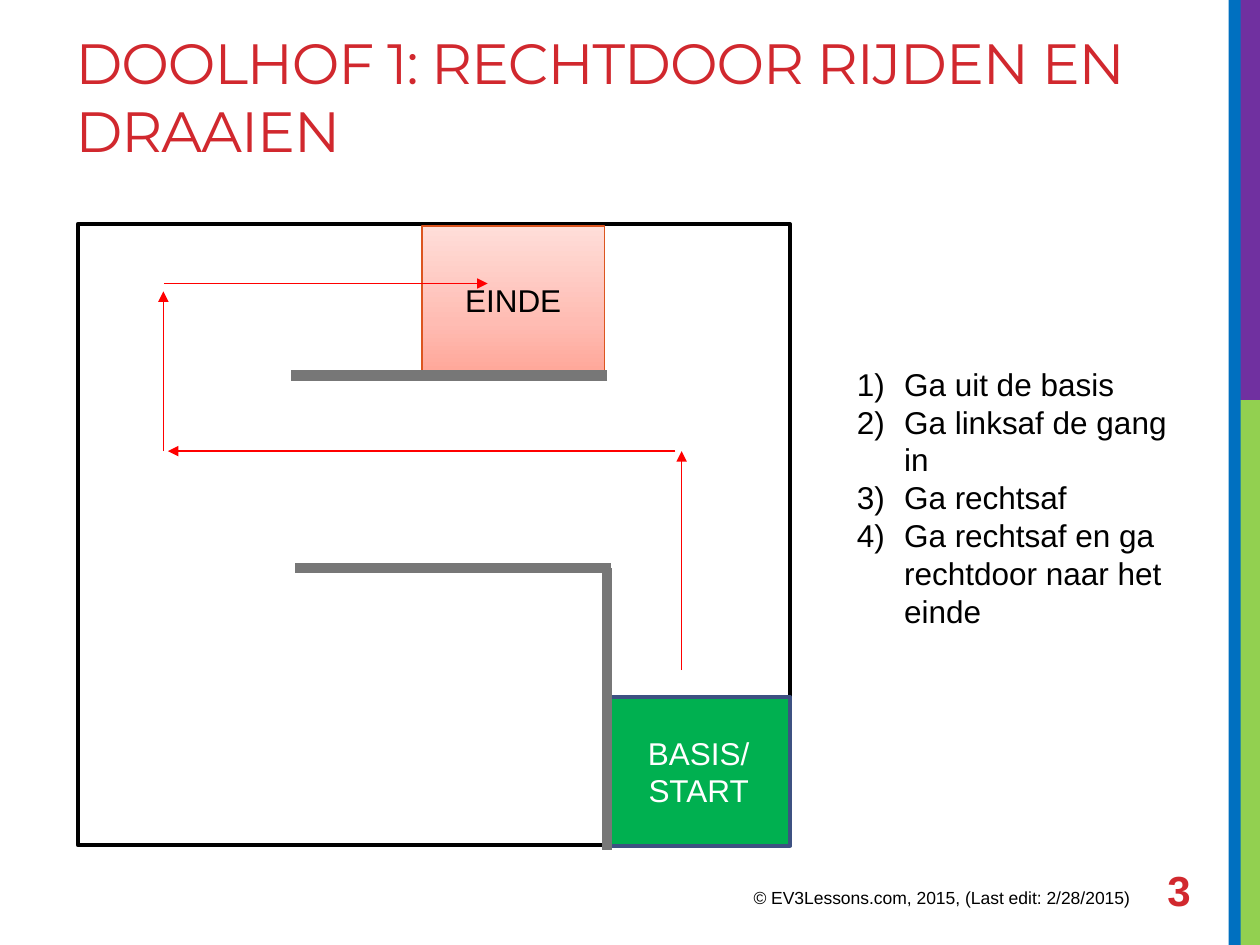
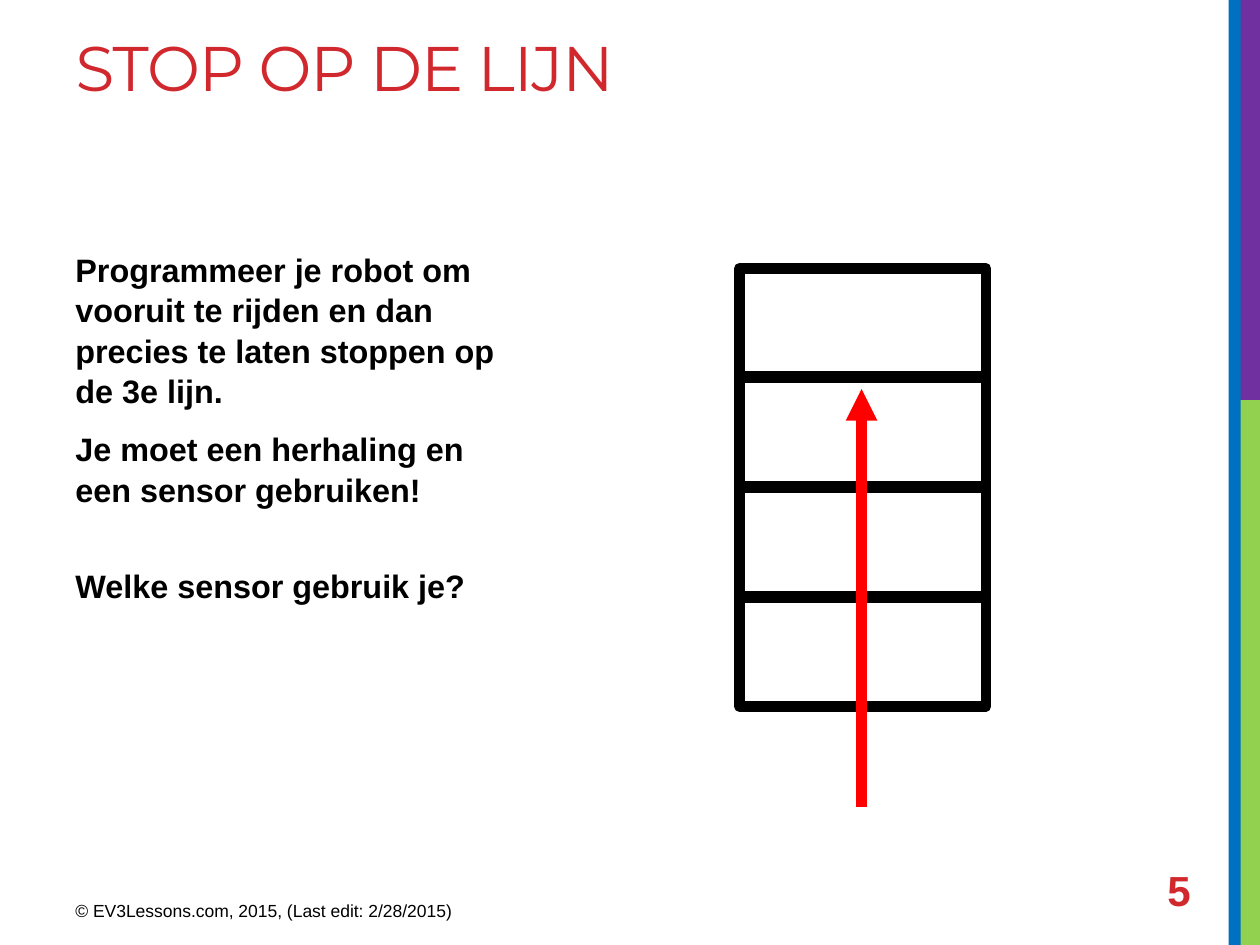
from copy import deepcopy

from lxml import etree
from pptx import Presentation
from pptx import util as u
from pptx.dml.color import RGBColor
from pptx.enum import shapes, text
from pptx.oxml.ns import qn

Pt = u.Pt
RED, ACCENT, GREY = "FF0000", "D1282E", "777777"
BLACK, WHITE = "000000", "FFFFFF"
BANDS = [  # left, top, width, height, colour
    (708.5, 228.5, 11.5, 311.5, "92D050"),
    (705.5, 0, 14.5, 228.5, "7030A0"),
    (702, 0, 7, 540, "0070C0"),
]
CREDIT = "© EV3Lessons.com, 2015, (Last edit: 2/28/2015)"


def rgb(code):
    return RGBColor.from_string(code)


def write(frame, lines, size, color=BLACK, bold=False, font="Arial",
          align=text.PP_ALIGN.LEFT, anchor=text.MSO_ANCHOR.TOP):
    """Fill a text frame, one paragraph a line, in one style."""
    frame.text = "\n".join(lines)
    frame.word_wrap = True
    frame.auto_size = text.MSO_AUTO_SIZE.NONE
    frame.vertical_anchor = anchor
    for para in frame.paragraphs:
        para.alignment = align
        for run in para.runs:
            run.font.name = font
            run.font.size = Pt(size)
            run.font.bold = bold
            run.font.color.rgb = rgb(color)


def add_text(slide, left, top, width, height, lines, size, **style):
    box = slide.shapes.add_textbox(Pt(left), Pt(top), Pt(width), Pt(height))
    write(box.text_frame, lines, size, **style)
    return box.text_frame


def add_rect(slide, left, top, width, height, fill=None, line=None, weight=1):
    rect = slide.shapes.add_shape(shapes.MSO_SHAPE.RECTANGLE, Pt(left), Pt(top),
                                  Pt(width), Pt(height))
    rect.shadow.inherit = False
    if fill:
        rect.fill.solid()
        rect.fill.fore_color.rgb = rgb(fill)
    else:
        rect.fill.background()
    if line:
        rect.line.color.rgb = rgb(line)
        rect.line.width = Pt(weight)
    else:
        rect.line.fill.background()
    return rect


def label(rect, words, color):
    write(rect.text_frame, [words], 18, color=color,
          align=text.PP_ALIGN.CENTER, anchor=text.MSO_ANCHOR.MIDDLE)


def shade(rect, stops):
    """Give a three-stop gradient that runs from bottom to top."""
    rect.fill.gradient()
    rect.fill.gradient_angle = 90
    found = rect._element.spPr.find(".//" + qn("a:gsLst"))
    found.insert(1, deepcopy(found[0]))
    for stop, (place, color) in zip(rect.fill.gradient_stops, stops):
        stop.position = place
        stop.color.rgb = rgb(color)


def add_line(slide, start, end, color, weight, arrow=False):
    line = slide.shapes.add_connector(
        shapes.MSO_CONNECTOR.STRAIGHT, *(Pt(v) for v in (*start, *end)))
    line.line.color.rgb = rgb(color)
    line.line.width = Pt(weight)
    props = line._element.spPr
    if arrow:
        etree.SubElement(props.find(qn("a:ln")), qn("a:tailEnd"), type="triangle")
    etree.SubElement(props, qn("a:effectLst"))


def number(frame, indent):
    """Number the paragraphs as 1), 2), ... with a hanging indent."""
    for para in frame.paragraphs:
        props = para._p.get_or_add_pPr()
        props.set("marL", str(Pt(indent)))
        props.set("indent", str(-Pt(indent)))
        etree.SubElement(props, qn("a:buFont"), typeface="+mj-lt")
        etree.SubElement(props, qn("a:buAutoNum"), type="arabicParenR")


def add_page(deck, title, size, height, page, credit):
    """Start a slide with the shared bands, title, credit and page number."""
    slide = deck.slides.add_slide(deck.slide_layouts[5])
    for *box, color in BANDS:
        add_rect(slide, *box, fill=color)
    head = slide.shapes.title
    head.left, head.top, head.width, head.height = Pt(36), Pt(12.5), Pt(649.5), Pt(height)
    write(head.text_frame, [title], size, color=ACCENT, font="Montserrat")
    for run in head.text_frame.paragraphs[0].runs:
        run._r.get_or_add_rPr().set("spc", "-60")
    add_text(slide, *credit, 270, 22, [CREDIT], 10)
    add_text(slide, 660, 494, 50, 29, [page], 24, color=ACCENT, bold=True,
             anchor=text.MSO_ANCHOR.MIDDLE)
    return slide


def add_maze(deck):
    slide = add_page(deck, "DOOLHOF 1: RECHTDOOR RIJDEN EN DRAAIEN", 32.4, 64,
                     "3", (423.5, 503.5))
    # Maze outline, start and finish
    add_rect(slide, 44.5, 128, 407, 355, WHITE, BLACK, 2.25)
    base = add_rect(slide, 347, 398.3, 104.5, 85, "00B050", "3D5182", 2.25)
    label(base, "BASIS/ START", WHITE)
    goal = add_rect(slide, 241, 129, 104.5, 85, WHITE, "DC551F", 1)
    shade(goal, [(0, "FFA698"), (0.35, "FFBCB3"), (1, "FFDED9")])
    label(goal, "EINDE", BLACK)
    # Steps
    steps = add_rect(slide, 482.5, 201.5, 209, 165, WHITE).text_frame
    write(steps, ["Ga uit de basis", "Ga linksaf de gang in", "Ga rechtsaf",
                  "Ga rechtsaf en ga rechtdoor naar het einde"], 18,
          anchor=text.MSO_ANCHOR.MIDDLE)
    number(steps, 27)
    # Walls
    for start, end in [((347, 485.5), (347, 324.5)),
                       ((349, 324.5), (168.5, 324.5)),
                       ((347, 214.5), (166.5, 214.5))]:
        add_line(slide, start, end, GREY, 6)
    # Route
    for start, end in [((389.5, 383), (389.5, 257.8)),
                       ((386, 257.8), (96, 257.8)),
                       ((93.4, 257.8), (93.4, 166.5)),
                       ((93.6, 162), (278.6, 162))]:
        add_line(slide, start, end, RED, 1, arrow=True)


def add_stop(deck):
    slide = add_page(deck, "STOP OP DE LIJN", 36, 108, "5", (36, 511))
    # Task
    task = add_text(slide, 36, 138.5, 270, 186, [
        "Programmeer je robot om vooruit te rijden en dan precies te laten "
        "stoppen op de 3e lijn.",
        "Je moet een herhaling en een sensor gebruiken!",
        "Welke sensor gebruik je?"], 18.5, bold=True)
    for para, gap in zip(task.paragraphs, (0, 4, 26)):
        para.line_spacing = 1.04
        para.space_before = Pt(gap)
        para.space_after = Pt(6)
    # Track of four fields
    for row in range(4):
        add_rect(slide, 422.5, 153.3 + 62.8 * row, 141, 62, None, BLACK, 6)
    add_line(slide, (492.3, 461.3), (492.3, 222.3), RED, 6, arrow=True)


def main():
    deck = Presentation()
    deck.slide_width, deck.slide_height = Pt(720), Pt(540)
    add_maze(deck)
    add_stop(deck)
    deck.save("out.pptx")


if __name__ == "__main__":
    main()
